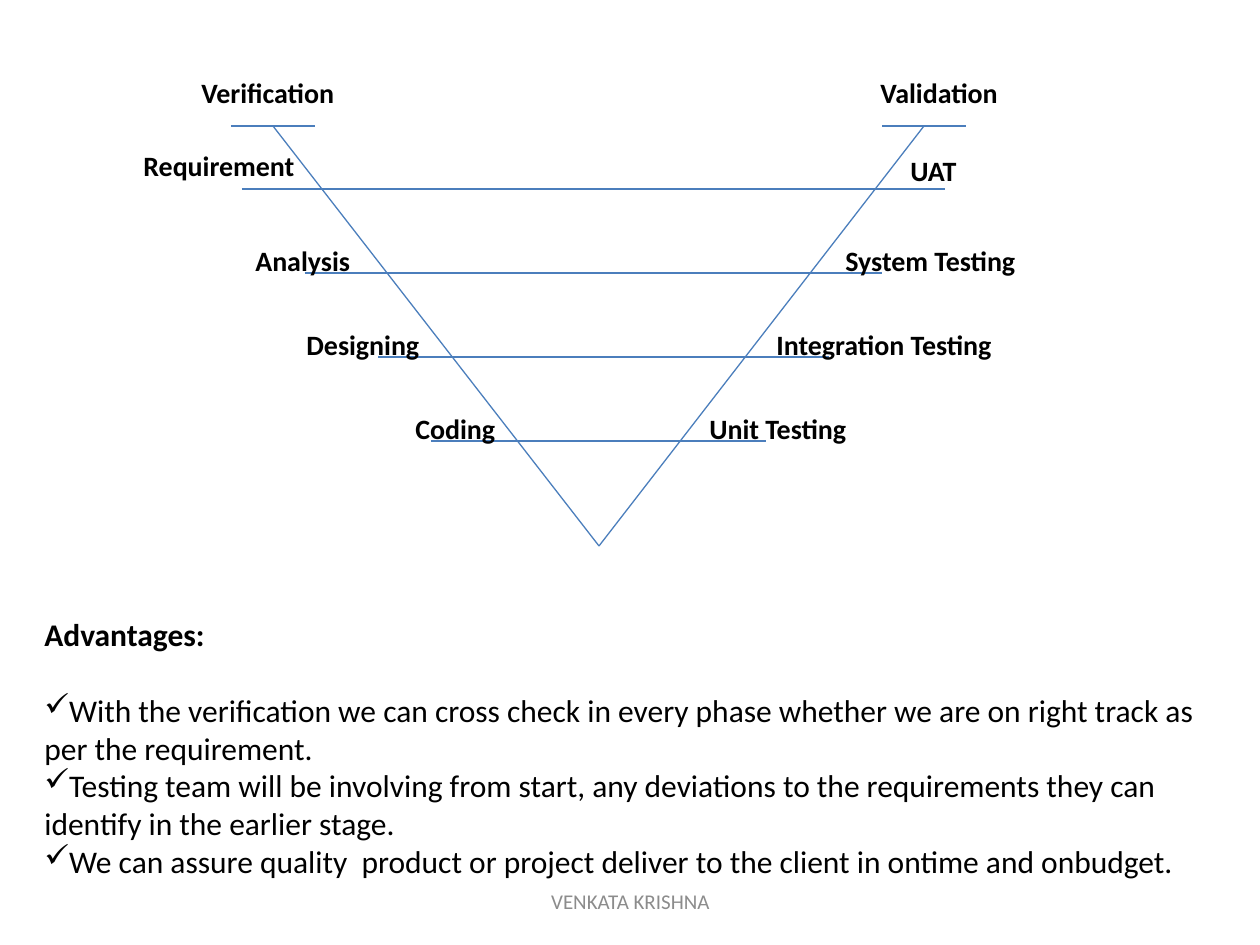
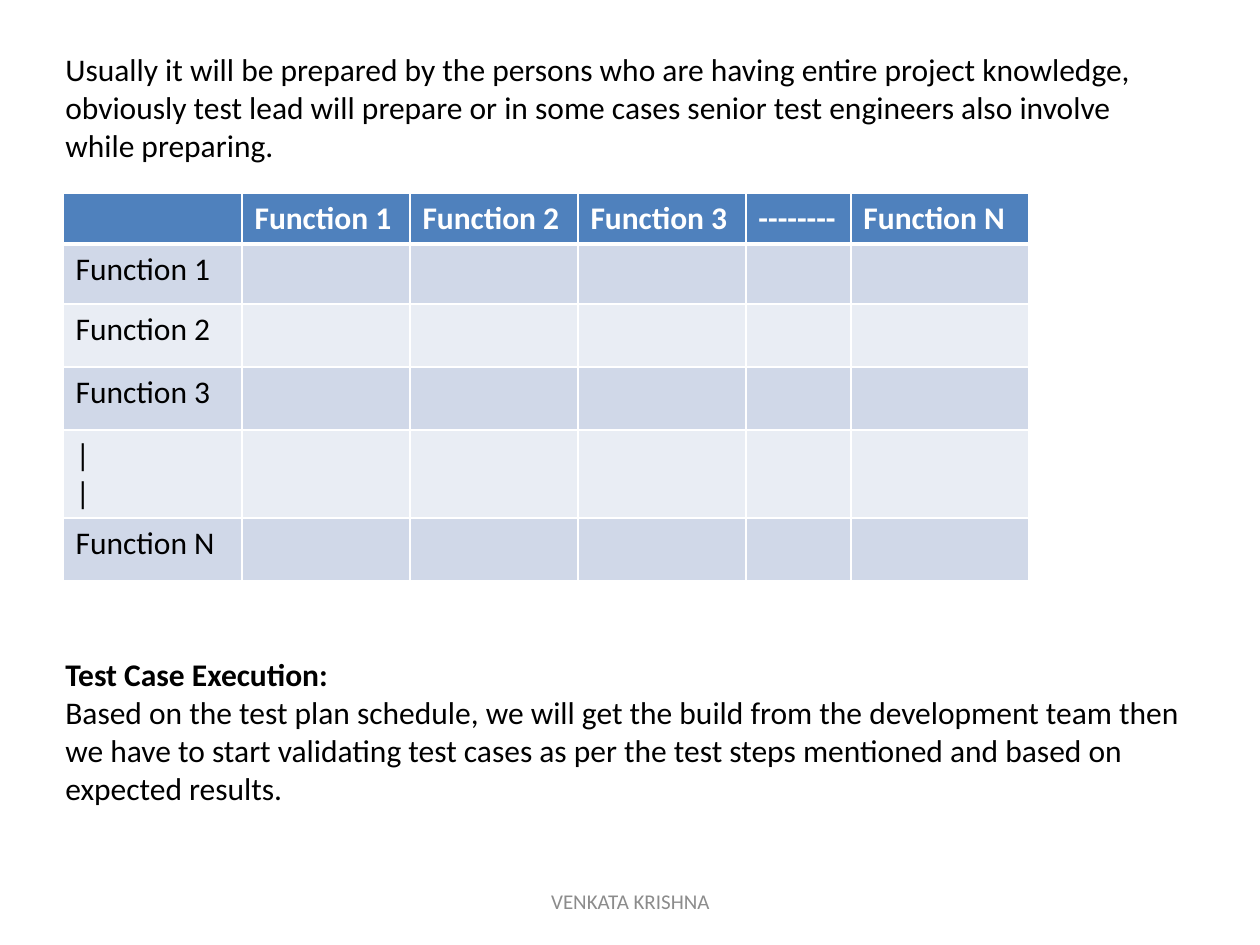
from dataclasses import dataclass
from typing import NamedTuple

from lxml import etree
from pptx import Presentation
from pptx.dml.color import RGBColor
from pptx.enum.shapes import MSO_CONNECTOR
from pptx.enum.text import MSO_ANCHOR, MSO_AUTO_SIZE, PP_ALIGN
from pptx.oxml.ns import qn
from pptx.util import Emu, Pt

STRAIGHT = MSO_CONNECTOR.STRAIGHT
MIDDLE = MSO_ANCHOR.MIDDLE
CENTER = PP_ALIGN.CENTER
FIT_TEXT = MSO_AUTO_SIZE.SHAPE_TO_FIT_TEXT

BLACK = RGBColor(0x00, 0x00, 0x00)
WHITE = RGBColor(0xFF, 0xFF, 0xFF)
GRAY = RGBColor(0x8C, 0x8C, 0x8C)
LINE_BLUE = RGBColor(0x4B, 0x7E, 0xBC)
HEADER_BLUE = RGBColor(0x4F, 0x81, 0xBD)
BANDS = (RGBColor(0xE9, 0xED, 0xF4), RGBColor(0xD0, 0xD8, 0xE8))

FONT = "Calibri"
BODY_SIZE = 18
LABEL_SIZE = 16
FOOTER_SIZE = 12
EMU_PER_PX = 914400 / 126
PAGE_WIDTH, PAGE_HEIGHT = 1260, 945
LABEL_HEIGHT = 47


class Area(NamedTuple):
    left: int
    top: int
    width: int
    height: int


class Label(NamedTuple):
    text: str
    left: int
    top: int
    width: int


class Segment(NamedTuple):
    x1: int
    y1: int
    x2: int
    y2: int


class Rung(NamedTuple):
    """A level of the V, joining a development phase to its test phase."""
    left: int
    right: int
    phase: Label
    test: Label


@dataclass(frozen=True)
class Para:
    text: str
    bold: bool = False
    check: bool = False
    before: float = 0


FOOTER_AREA = Area(431, 876, 399, 50)

V_TOP = 126
V_TIP = (599, 546)
RUNG_TOP, RUNG_STEP = 189, 84
V_LINES = [
    Segment(273, V_TOP, *V_TIP),
    Segment(924, V_TOP, *V_TIP),
    Segment(231, V_TOP, 315, V_TOP),
    Segment(882, V_TOP, 966, V_TOP),
]
V_HEADINGS = [
    Label("Verification", 189, 69, 166),
    Label("Validation", 868, 69, 144),
]
RUNGS = [
    Rung(242, 945, Label("Requirement", 131, 142, 185), Label("UAT", 898, 147, 72)),
    Rung(305, 882, Label("Analysis", 243, 237, 127), Label("System Testing", 833, 237, 198)),
    Rung(378, 829, Label("Designing", 294, 321, 146), Label("Integration Testing", 764, 321, 243)),
    Rung(431, 766, Label("Coding", 403, 405, 113), Label("Unit Testing", 697, 405, 164)),
]

ADVANTAGES_AREA = Area(32, 609, 1197, 280)
ADVANTAGES = [
    Para("Advantages:", bold=True),
    Para("With the verification we can cross check in every phase whether we are on "
         "right track as per the requirement.", check=True, before=21.6),
    Para("Testing team will be involving from start, any deviations to the requirements "
         "they can identify in the earlier stage.", check=True),
    Para("We can assure quality  product or project deliver to the client in ontime "
         "and onbudget.", check=True),
]

MATRIX_NOTES_AREA = Area(53, 44, 1144, 776)
MATRIX_NOTES = [
    Para("Usually it will be prepared by the persons who are having entire project "
         "knowledge, obviously test lead will prepare or in some cases senior test "
         "engineers also involve while preparing."),
    Para("Test Case Execution:", bold=True, before=281),
    Para("Based on the test plan schedule, we will get the build from the development "
         "team then we have to start validating test cases as per the test steps "
         "mentioned and based on expected results."),
]

MATRIX_LEFT, MATRIX_TOP = 63, 193
MATRIX_COLUMNS = [
    ("", 179), ("Function 1", 168), ("Function 2", 168),
    ("Function 3", 168), ("--------", 105), ("Function N", 178),
]
MATRIX_ROWS = [
    ("Function 1", 60), ("Function 2", 63), ("Function 3", 63),
    ("|\n|", 88), ("Function N", 63),
]
MATRIX_HEADER_HEIGHT = 51


def px(length: int) -> Emu:
    return Emu(round(length * EMU_PER_PX))


def set_font(paragraph, size: int, color: RGBColor, bold: bool = False) -> None:
    font = paragraph.font
    font.name, font.size, font.bold = FONT, Pt(size), bold
    font.color.rgb = color


def add_text_box(page, area: Area, wrap: bool = True):
    box = page.shapes.add_textbox(*map(px, area))
    box.text_frame.word_wrap = wrap
    return box.text_frame


def add_line(page, segment: Segment) -> None:
    line = page.shapes.add_connector(STRAIGHT, *map(px, segment))
    line.line.color.rgb = LINE_BLUE
    line.line.width = Pt(0.75)
    etree.SubElement(line._element.spPr, qn("a:effectLst"))


def add_label(page, label: Label) -> None:
    area = Area(label.left, label.top, label.width, LABEL_HEIGHT)
    frame = add_text_box(page, area, wrap=False)
    frame.auto_size = FIT_TEXT
    frame.text = label.text
    set_font(frame.paragraphs[0], LABEL_SIZE, BLACK, bold=True)


def add_body(page, area: Area, paras: list[Para]) -> None:
    frame = add_text_box(page, area)
    frame.auto_size = FIT_TEXT
    for index, para in enumerate(paras):
        paragraph = frame.add_paragraph() if index else frame.paragraphs[0]
        paragraph.text = para.text
        if para.before:
            paragraph.space_before = Pt(para.before)
        if para.check:
            properties = paragraph._p.get_or_add_pPr()
            etree.SubElement(properties, qn("a:buChar"), char="✓")
        set_font(paragraph, BODY_SIZE, BLACK, para.bold)


def add_footer(page) -> None:
    frame = add_text_box(page, FOOTER_AREA)
    frame.vertical_anchor = MIDDLE
    frame.text = "VENKATA KRISHNA"
    paragraph = frame.paragraphs[0]
    paragraph.alignment = CENTER
    set_font(paragraph, FOOTER_SIZE, GRAY)


def set_borders(cell, top: int, bottom: int) -> None:
    """Draw white cell borders; the sides are 1 pt wide."""
    properties = cell._tc.get_or_add_tcPr()
    for side, width in (("L", 1), ("R", 1), ("T", top), ("B", bottom)):
        line = etree.SubElement(properties, qn(f"a:ln{side}"), w=str(Pt(width)))
        fill = etree.SubElement(line, qn("a:solidFill"))
        etree.SubElement(fill, qn("a:srgbClr"), val=str(WHITE))


def add_matrix(page) -> None:
    heights = [MATRIX_HEADER_HEIGHT] + [height for _, height in MATRIX_ROWS]
    widths = [width for _, width in MATRIX_COLUMNS]
    area = Area(MATRIX_LEFT, MATRIX_TOP, sum(widths), sum(heights))
    table = page.shapes.add_table(len(heights), len(widths), *map(px, area)).table
    for column, width in zip(table.columns, widths):
        column.width = px(width)
    for row_index, height in enumerate(heights):
        table.rows[row_index].height = px(height)
        header = row_index == 0
        for column_index, (heading, _) in enumerate(MATRIX_COLUMNS):
            cell = table.cell(row_index, column_index)
            if header:
                cell.text = heading
            elif column_index == 0:
                cell.text = MATRIX_ROWS[row_index - 1][0]
            for paragraph in cell.text_frame.paragraphs:
                set_font(paragraph, BODY_SIZE, WHITE if header else BLACK, header)
            set_borders(cell, top=3 if row_index == 1 else 1, bottom=3 if header else 1)
            cell.fill.solid()
            cell.fill.fore_color.rgb = HEADER_BLUE if header else BANDS[row_index % 2]


def build_v_model(page) -> None:
    for segment in V_LINES:
        add_line(page, segment)
    for label in V_HEADINGS:
        add_label(page, label)
    for index, rung in enumerate(RUNGS):
        y = RUNG_TOP + index * RUNG_STEP
        add_line(page, Segment(rung.left, y, rung.right, y))
        add_label(page, rung.phase)
        add_label(page, rung.test)
    add_body(page, ADVANTAGES_AREA, ADVANTAGES)


def build_function_matrix(page) -> None:
    add_body(page, MATRIX_NOTES_AREA, MATRIX_NOTES)
    add_matrix(page)


def main() -> None:
    deck = Presentation()
    deck.slide_width, deck.slide_height = px(PAGE_WIDTH), px(PAGE_HEIGHT)
    blank = deck.slide_layouts[6]
    for build in (build_v_model, build_function_matrix):
        page = deck.slides.add_slide(blank)
        build(page)
        add_footer(page)
    deck.save("out.pptx")


if __name__ == "__main__":
    main()
